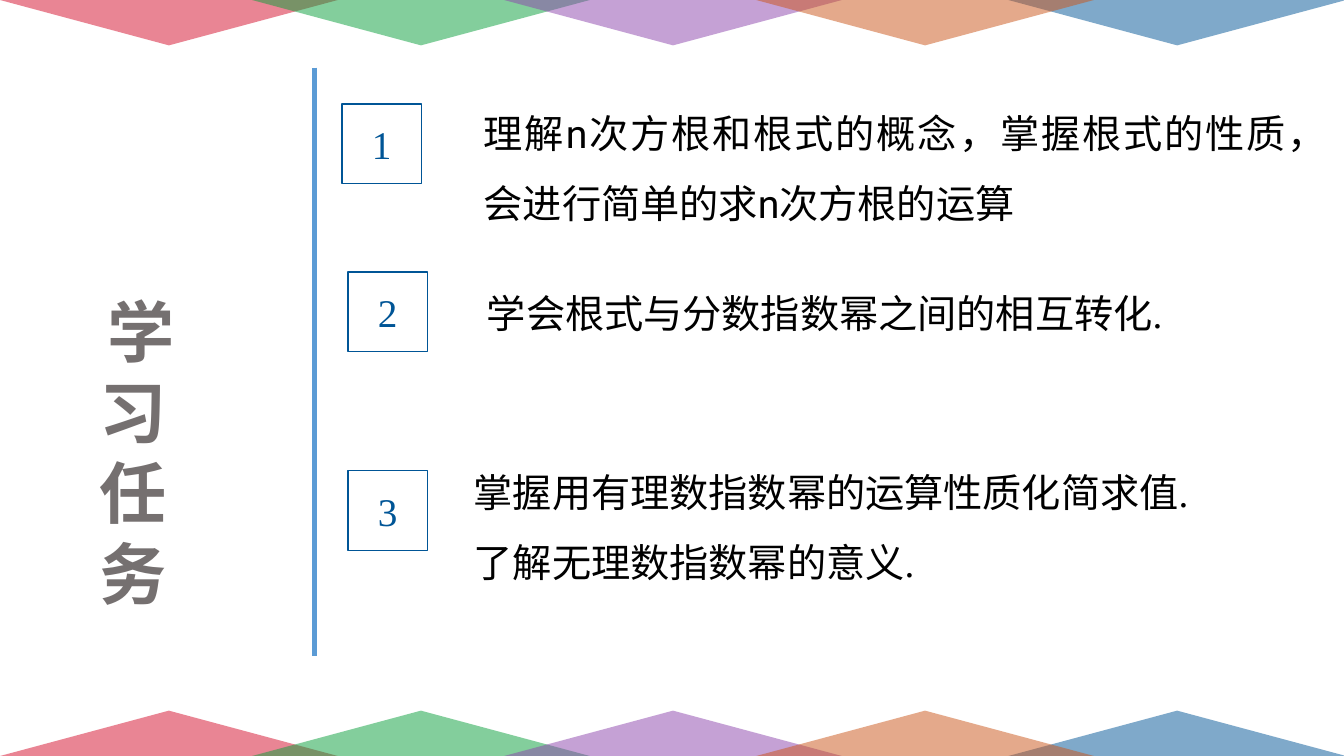
from dataclasses import dataclass

from lxml import etree
from pptx import Presentation
from pptx.dml.color import RGBColor
from pptx.enum.lang import MSO_LANGUAGE_ID
from pptx.enum.shapes import MSO_CONNECTOR, MSO_SHAPE
from pptx.enum.text import MSO_ANCHOR, MSO_AUTO_SIZE, PP_ALIGN
from pptx.oxml.ns import qn
from pptx.util import Inches, Pt

CENTER, JUSTIFY = PP_ALIGN.CENTER, PP_ALIGN.JUSTIFY
TOP, MIDDLE = MSO_ANCHOR.TOP, MSO_ANCHOR.MIDDLE
GROW, FIXED = MSO_AUTO_SIZE.SHAPE_TO_FIT_TEXT, MSO_AUTO_SIZE.NONE
CHINESE = MSO_LANGUAGE_ID.SIMPLIFIED_CHINESE


@dataclass(frozen=True)
class Theme:
    red: str = "D50D2A"
    blue: str = "005596"
    green: str = "099F3B"
    purple: str = "8D44AD"
    orange: str = "CB5518"
    divider: str = "5B9BD5"
    heading: str = "757070"
    body: str = "000000"
    sans: str = "Roboto"
    serif: str = "Times New Roman"
    heading_size: int = 48
    body_size: int = 28


THEME = Theme()


def write_text(shape, *lines, color, font=THEME.serif, size=THEME.body_size,
               bold=False, align=JUSTIFY, spacing=1.0, anchor=TOP,
               wrap=True, fit=GROW, margins=(0.1, 0.05)):
    frame = shape.text_frame
    frame.word_wrap = wrap
    frame.auto_size = fit
    frame.vertical_anchor = anchor
    frame.margin_left = frame.margin_right = Inches(margins[0])
    frame.margin_top = frame.margin_bottom = Inches(margins[1])
    for index, line in enumerate(lines):
        paragraph = frame.add_paragraph() if index else frame.paragraphs[0]
        paragraph.alignment = align
        paragraph.line_spacing = spacing
        run = paragraph.add_run()
        run.text = line
        run.font.name = font
        run.font.size = Pt(size)
        run.font.bold = bold
        run.font.color.rgb = RGBColor.from_string(color)
        run.font.language_id = CHINESE


prs = Presentation()
prs.slide_width, prs.slide_height = Inches(13.33), Inches(7.5)
slide = prs.slides.add_slide(prs.slide_layouts[5])
shapes = slide.shapes

# Translucent triangles along the bottom and top edges
TRIANGLE_STEP = 2.5
TRIANGLES = [(0, THEME.red), (4, THEME.blue), (1, THEME.green),
             (2, THEME.purple), (3, THEME.orange)]
for edge_top, rotation in [(7.05, 0), (0, 180)]:
    for column, color in TRIANGLES:
        triangle = shapes.add_shape(
            MSO_SHAPE.ISOSCELES_TRIANGLE, Inches(column * TRIANGLE_STEP),
            Inches(edge_top), Inches(3.35), Inches(0.45))
        triangle.rotation = rotation
        triangle.shadow.inherit = False
        triangle.line.fill.background()
        triangle.fill.solid()
        triangle.fill.fore_color.rgb = RGBColor.from_string(color)
        rgb = triangle.fill._xPr.find(".//" + qn("a:srgbClr"))
        etree.SubElement(rgb, qn("a:alpha"), val="50000")

# Heading: the narrow box breaks it into one character per line
heading = shapes.title
heading.left, heading.top = Inches(0.63), Inches(2.83)
heading.width, heading.height = Inches(1.38), Inches(3.33)
write_text(heading, " 学习任务", color=THEME.heading, font=THEME.sans,
           size=THEME.heading_size, bold=True, align=CENTER, fit=FIXED)

divider = shapes.add_connector(MSO_CONNECTOR.STRAIGHT, Inches(3.12),
                               Inches(0.67), Inches(3.12), Inches(6.51))
divider.line.color.rgb = RGBColor.from_string(THEME.divider)
divider.line.width = Pt(3)
etree.SubElement(divider._element.spPr, qn("a:effectLst"))

# Numbered tasks: number position, text box, text format, lines
WIDE_MARGINS = {"margins": (0.13, 0.07)}
TASKS = [
    ((3.39, 1.03), (4.7, 0.8, 8.17, 2.22),
     {"font": THEME.sans, "wrap": False},
     ["理解n次方根和根式的概念，掌握根式的性质，",
      "会进行简单的求n次方根的运算"]),
    ((3.45, 2.7), (4.7, 2.57, 8.5, 0.84), WIDE_MARGINS,
     ["学会根式与分数指数幂之间的相互转化."]),
    ((3.45, 4.67), (4.57, 4.34, 8.5, 1.55), WIDE_MARGINS,
     ["掌握用有理数指数幂的运算性质化简求值.",
      "了解无理数指数幂的意义."]),
]
for number, (corner, box, text_format, lines) in enumerate(TASKS, 1):
    badge = shapes.add_shape(MSO_SHAPE.RECTANGLE, *map(Inches, corner),
                             Inches(0.79), Inches(0.79))
    badge.shadow.inherit = False
    badge.fill.background()
    badge.line.color.rgb = RGBColor.from_string(THEME.blue)
    badge.line.width = Pt(1)
    write_text(badge, str(number), color=THEME.blue, align=CENTER,
               anchor=MIDDLE, fit=FIXED)
    task = shapes.add_textbox(*map(Inches, box))
    write_text(task, *lines, color=THEME.body, spacing=1.5, **text_format)

prs.save("out.pptx")
